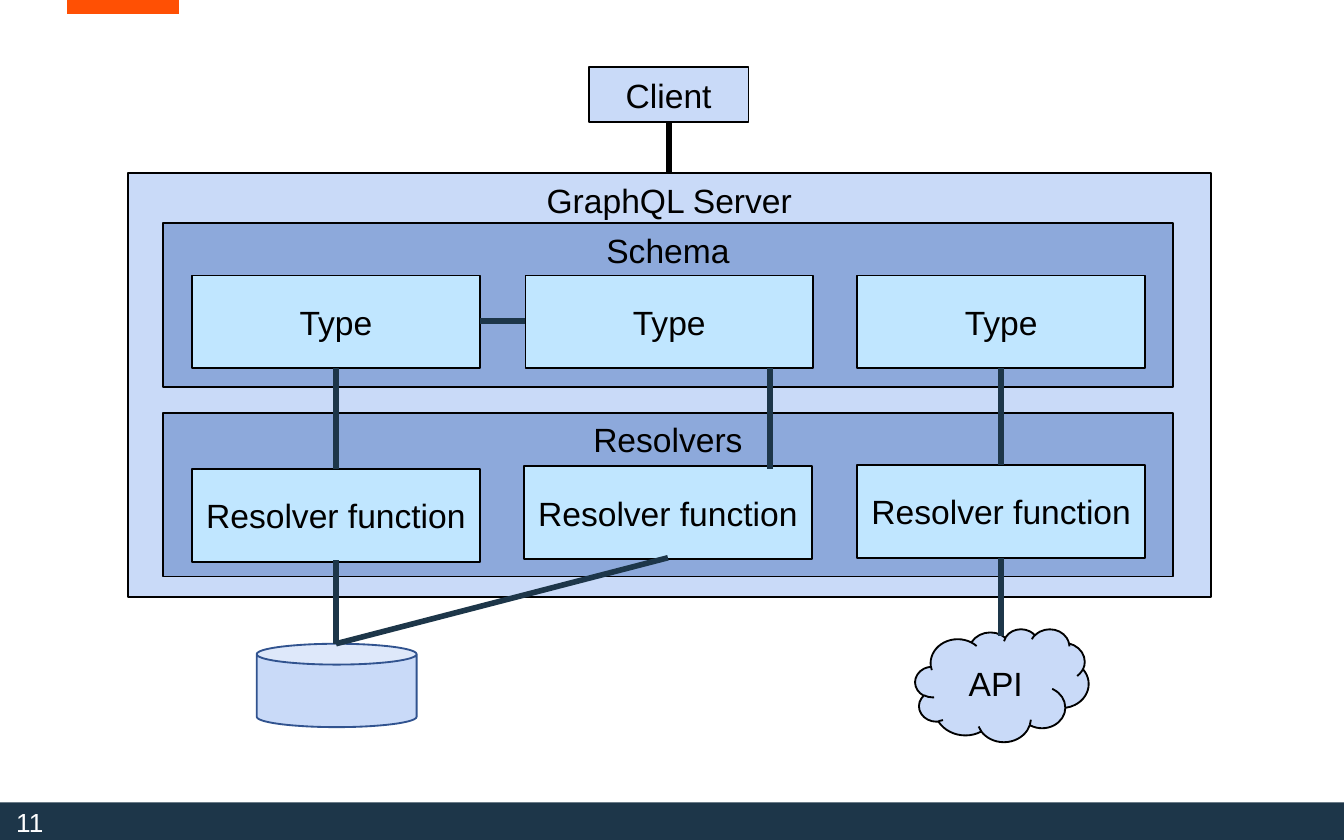
from dataclasses import dataclass

import pptx
import pptx.dml.color
import pptx.enum.shapes
import pptx.enum.text
import pptx.oxml
import pptx.oxml.ns
import pptx.util

PX = 9144  # EMU per px, 100 px to the inch
RGB = pptx.dml.color.RGBColor.from_string
SHAPE = pptx.enum.shapes.MSO_SHAPE
ANCHOR = pptx.enum.text.MSO_ANCHOR
ALIGN = pptx.enum.text.PP_ALIGN


@dataclass(frozen=True)
class Theme:
    font: str = "Arial"
    label_size: int = 18
    number_size: int = 14
    ink: str = "000000"
    white: str = "FFFFFF"
    navy: str = "1D3649"
    accent: str = "FF5004"
    outer: str = "C9DAF8"
    layer: str = "8DA9DB"
    box: str = "C0E6FF"
    database_line: str = "31538F"
    outline: int = 1
    link: int = 3
    accent_width: int = 8


THEME = Theme()


@dataclass(frozen=True)
class Node:
    left: int
    top: int
    width: int
    height: int
    fill: str
    text: str = ""
    anchor: ANCHOR = ANCHOR.MIDDLE
    kind: SHAPE = SHAPE.RECTANGLE
    line: str | None = THEME.ink


@dataclass(frozen=True)
class Link:
    x1: int
    y1: int
    x2: int
    y2: int
    color: str = THEME.navy
    width: int = THEME.link


def px(n: int) -> pptx.util.Emu:
    return pptx.util.Emu(n * PX)


def style_text(p, size: int, color: str) -> None:
    p.font.name = THEME.font
    p.font.size = pptx.util.Pt(size)
    p.font.color.rgb = RGB(color)


def draw_node(s, node: Node) -> None:
    sp = s.shapes.add_shape(node.kind, px(node.left), px(node.top),
                            px(node.width), px(node.height))
    sp.shadow.inherit = False
    sp.fill.solid()
    sp.fill.fore_color.rgb = RGB(node.fill)
    if node.line:
        sp.line.color.rgb = RGB(node.line)
        sp.line.width = pptx.util.Pt(THEME.outline)
    else:
        sp.line.fill.background()
    if node.text:
        tf = sp.text_frame
        tf.word_wrap = False
        tf.vertical_anchor = node.anchor
        p = tf.paragraphs[0]
        p.text = node.text
        p.alignment = ALIGN.CENTER
        style_text(p, THEME.label_size, THEME.ink)


def draw_link(s, link: Link) -> None:
    cx = s.shapes.add_connector(pptx.enum.shapes.MSO_CONNECTOR.STRAIGHT,
                                px(link.x1), px(link.y1), px(link.x2), px(link.y2))
    cx.line.color.rgb = RGB(link.color)
    cx.line.width = pptx.util.Pt(link.width)
    effects = pptx.oxml.parse_xml(f'<a:effectLst {pptx.oxml.ns.nsdecls("a")}/>')
    cx._element.spPr.append(effects)


def draw_slide_number(s, number: str) -> None:
    tf = s.shapes.add_textbox(px(12), px(599), px(191), px(28)).text_frame
    tf.word_wrap = True
    tf.vertical_anchor = ANCHOR.MIDDLE
    tf.margin_left = tf.margin_right = tf.margin_top = tf.margin_bottom = 0
    p = tf.paragraphs[0]
    p.text = number
    p.line_spacing = 0.9
    style_text(p, THEME.number_size, THEME.white)


BOX_W, BOX_H = 214, 69
TYPE_TOP = 205
TYPE_BOTTOM = TYPE_TOP + BOX_H
TYPE_LEFTS = (143, 391, 638)
RESOLVERS = ((143, 349), (390, 347), (638, 346))
DATABASE_X, API_X = 250, 745
DATABASE_TOP = 479

FOOTER = Node(0, 597, 1000, 28, THEME.navy, line=None)
ACCENT = Link(50, 5, 133, 5, THEME.accent, THEME.accent_width)

NODES = [
    Node(95, 129, 806, 315, THEME.outer, "GraphQL Server", ANCHOR.TOP),
    Node(121, 307, 752, 122, THEME.layer, "Resolvers", ANCHOR.TOP),
    Node(438, 50, 119, 41, THEME.outer, "Client"),
    Node(121, 166, 752, 122, THEME.layer, "Schema", ANCHOR.TOP),
    *(Node(x, TYPE_TOP, BOX_W, BOX_H, THEME.box, "Type") for x in TYPE_LEFTS),
    *(Node(x, y, BOX_W, BOX_H, THEME.box, "Resolver function") for x, y in RESOLVERS),
    Node(191, DATABASE_TOP, 119, 62, THEME.outer, kind=SHAPE.CAN, line=THEME.database_line),
    Node(681, 468, 129, 84, THEME.outer, "API", kind=SHAPE.CLOUD),
]

LINKS = [
    Link(DATABASE_X, TYPE_BOTTOM, DATABASE_X, 349),
    Link(DATABASE_X, 417, DATABASE_X, DATABASE_TOP),
    Link(497, 415, DATABASE_X, DATABASE_TOP),
    Link(API_X, 415, API_X, 473),
    Link(TYPE_LEFTS[0] + BOX_W, 239, TYPE_LEFTS[1], 239),
    Link(573, TYPE_BOTTOM, 573, 349),
    Link(API_X, TYPE_BOTTOM, API_X, 346),
    Link(498, 91, 498, 129, THEME.ink),
]


def main() -> None:
    prs = pptx.Presentation()
    prs.slide_width, prs.slide_height = px(1000), px(625)
    s = prs.slides.add_slide(prs.slide_layouts[6])
    draw_link(s, ACCENT)
    draw_node(s, FOOTER)
    draw_slide_number(s, "11")
    for node in NODES:
        draw_node(s, node)
    for link in LINKS:
        draw_link(s, link)
    prs.save("out.pptx")


if __name__ == "__main__":
    main()
